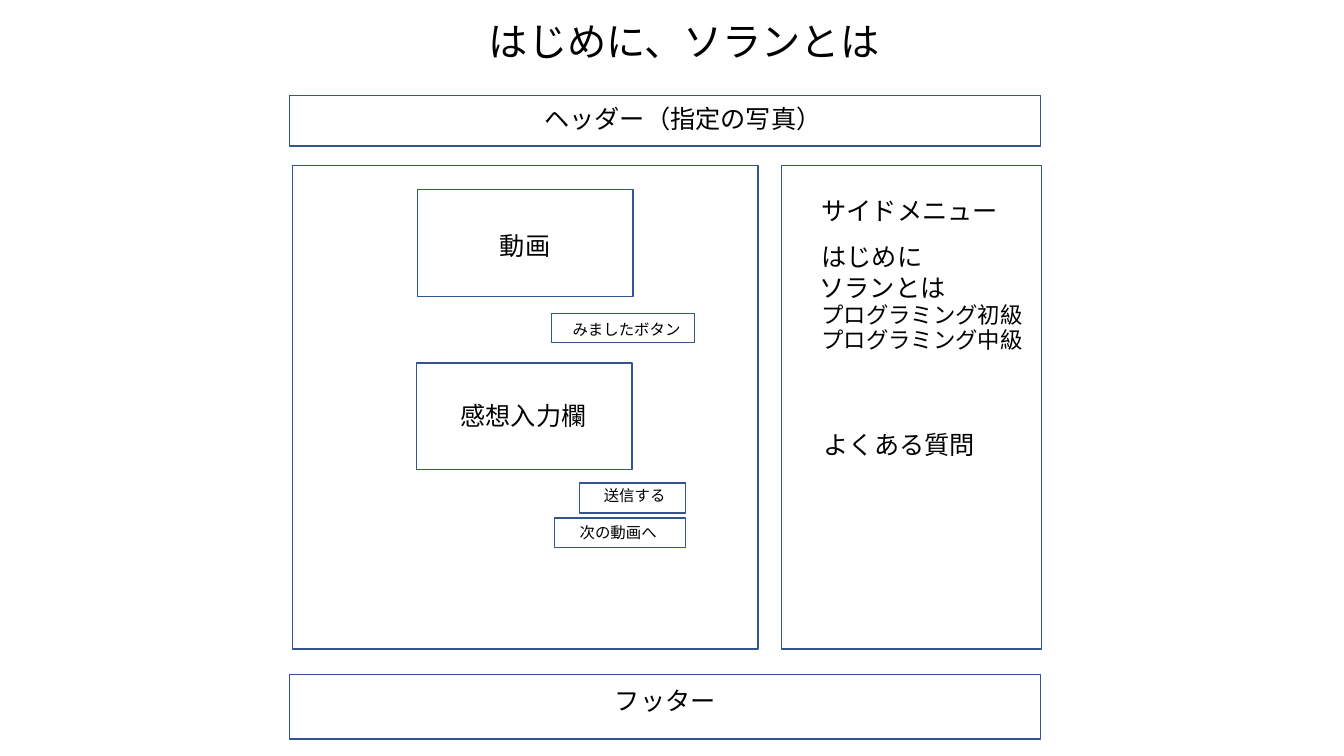
from dataclasses import dataclass

from lxml.etree import SubElement
from pptx import Presentation
from pptx.dml.color import RGBColor
from pptx.enum.shapes import MSO_SHAPE as Preset
from pptx.enum.text import MSO_AUTO_SIZE as AutoSize, PP_ALIGN as Align
from pptx.oxml.ns import qn
from pptx.slide import Slide
from pptx.util import Inches, Pt

COLORS = {"outline": "325491", "text": "000000"}
FONT = "Noto Sans CJK JP"
TEXT_HEIGHTS = {11: 0.29, 16: 0.37, 18: 0.4, 28: 0.57}


@dataclass(frozen=True)
class Frame:
    left: float
    top: float
    width: float
    height: float


@dataclass(frozen=True)
class Label:
    text: str
    left: float
    top: float
    width: float
    size: int = 18
    wrap: bool = False
    align: Align = Align.LEFT


BAR_LEFT, BAR_WIDTH = 2.87, 7.45
PANEL_TOP, PANEL_HEIGHT = 1.64, 4.8
MEDIA_WIDTH, MEDIA_HEIGHT = 2.14, 1.06
MENU_LEFT = 8.05

FRAMES = [
    Frame(BAR_LEFT, 0.95, BAR_WIDTH, 0.5),
    Frame(7.75, PANEL_TOP, 2.58, PANEL_HEIGHT),
    Frame(2.9, PANEL_TOP, 4.62, PANEL_HEIGHT),
    Frame(BAR_LEFT, 6.69, BAR_WIDTH, 0.64),
    Frame(4.14, 1.88, MEDIA_WIDTH, MEDIA_HEIGHT),
    Frame(5.47, 3.11, 1.42, 0.29),
    Frame(4.13, 3.6, MEDIA_WIDTH, MEDIA_HEIGHT),
    Frame(5.75, 4.79, 1.05, 0.3),
    Frame(5.5, 5.14, 1.3, 0.29),
]

LABELS = [
    Label("はじめに、ソランとは", 4.72, 0.12, 4.13, 28, align=Align.CENTER),
    Label("ヘッダー（指定の写真）", 5.3, 0.98, 2.98),
    Label("動画", 4.86, 2.24, 0.71),
    Label("みましたボタン", 5.58, 3.13, 1.28, 11),
    Label("感想入力欄", 4.47, 3.92, 1.46),
    Label("送信する", 5.89, 4.77, 1.02, 11, wrap=True),
    Label("次の動画へ", 5.65, 5.14, 0.98, 11, wrap=True),
    Label("サイドメニュー", MENU_LEFT, 1.89, 1.97),
    Label("はじめに", MENU_LEFT, 2.34, 1.21),
    Label("ソランとは", 8.03, 2.65, 1.46),
    Label("プログラミング初級", MENU_LEFT, 2.94, 2.22, 16),
    Label("プログラミング中級", MENU_LEFT, 3.19, 2.22, 16),
    Label("よくある質問", 8.07, 4.21, 1.72),
    Label("フッター", 6, 6.75, 1.21),
]


def draw_frame(page: Slide, frame: Frame) -> None:
    box = page.shapes.add_shape(
        Preset.RECTANGLE, Inches(frame.left), Inches(frame.top),
        Inches(frame.width), Inches(frame.height))
    box.shadow.inherit = False
    box.fill.background()
    box.line.color.rgb = RGBColor.from_string(COLORS["outline"])
    box.line.width = Pt(1)


def draw_label(page: Slide, label: Label) -> None:
    box = page.shapes.add_textbox(
        Inches(label.left), Inches(label.top),
        Inches(label.width), Inches(TEXT_HEIGHTS[label.size]))
    frame = box.text_frame
    frame.word_wrap = label.wrap
    frame.auto_size = AutoSize.SHAPE_TO_FIT_TEXT
    para = frame.paragraphs[0]
    para.text = label.text
    para.alignment = label.align
    para.font.size = Pt(label.size)
    para.font.name = FONT
    para.font.color.rgb = RGBColor.from_string(COLORS["text"])
    # Japanese glyphs take their typeface from the East Asian font slot.
    defaults = para._p.pPr.find(qn("a:defRPr"))
    SubElement(defaults, qn("a:ea"), typeface=FONT)


def main() -> None:
    deck = Presentation()
    deck.slide_width, deck.slide_height = Inches(13.33), Inches(7.5)
    page = deck.slides.add_slide(deck.slide_layouts[6])
    for frame in FRAMES:
        draw_frame(page, frame)
    for label in LABELS:
        draw_label(page, label)
    deck.save("out.pptx")


if __name__ == "__main__":
    main()
